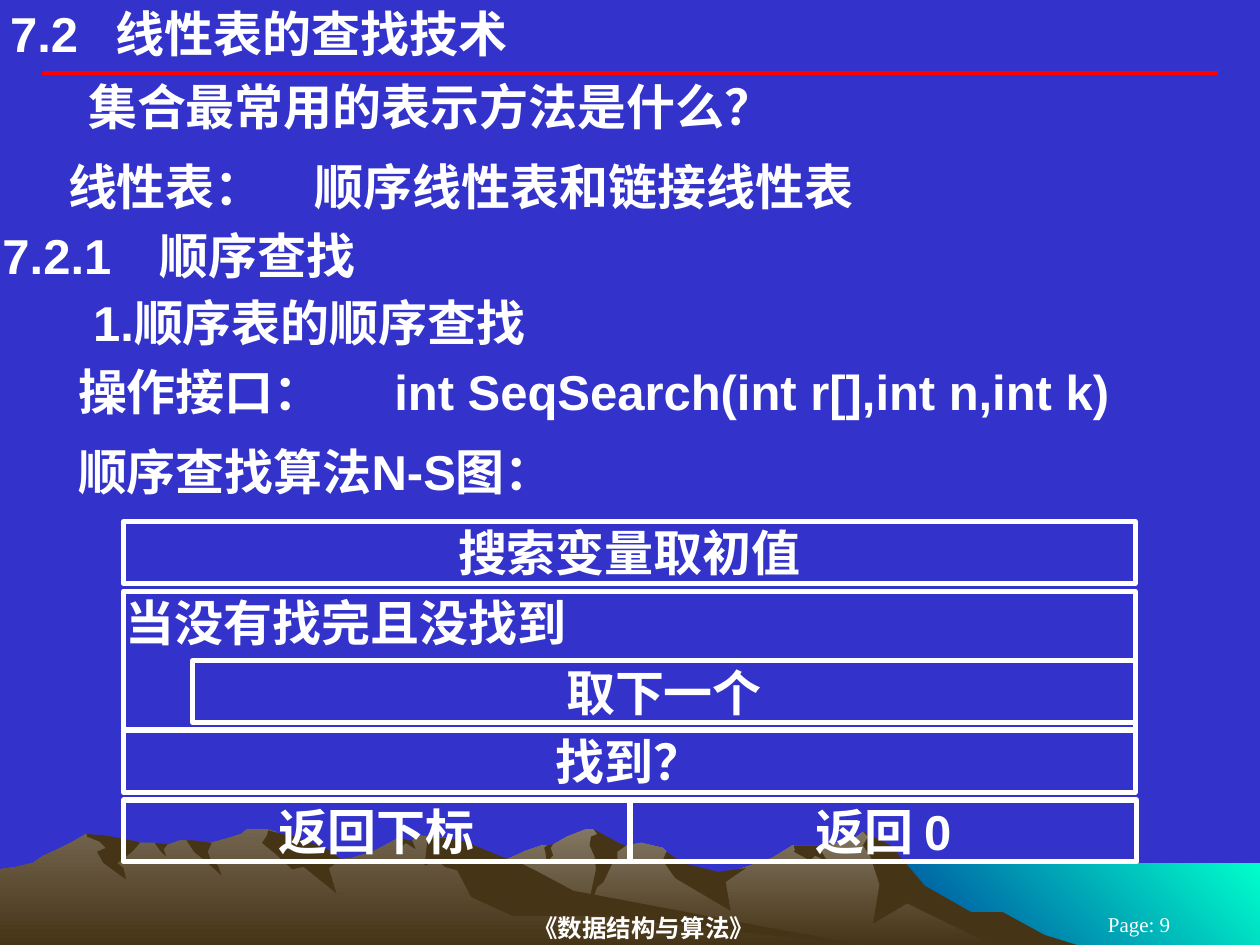
from lxml.etree import SubElement
from pptx import Presentation
from pptx.dml.color import RGBColor
from pptx.enum.shapes import MSO_CONNECTOR, MSO_SHAPE
from pptx.enum.text import MSO_ANCHOR, MSO_AUTO_SIZE, PP_ALIGN
from pptx.oxml.ns import qn
from pptx.util import Inches, Pt

WHITE = RGBColor(0xFF, 0xFF, 0xFF)
BLUE = RGBColor(0x33, 0x33, 0xCC)
RED = RGBColor(0xFF, 0x00, 0x00)
AQUA = RGBColor(0x00, 0xFF, 0xCC)
NAVY = RGBColor(0x00, 0x33, 0x99)
SAND = RGBColor(0x83, 0x77, 0x63)
STONE = RGBColor(0x72, 0x64, 0x4E)
EARTH = RGBColor(0x46, 0x34, 0x16)

CELL = Inches(0.01)
COLUMNS, ROWS = 1000, 750
ROW_HEIGHT = 49
HEADING = {"name": "Arial", "size": Pt(28), "bold": True}
FOOTER = {"name": "Times New Roman", "size": Pt(14), "bold": True}
PAGE_NUMBER = {"name": "Times New Roman", "size": Pt(12), "bold": False}

SEA = [(1000, 752), (683, 752), (683, 685), (1000, 685)]
RIGHT_RANGE = [
    (802, 740), (778, 727), (764, 723), (723, 698), (702, 671), (685, 660), (676, 667),
    (656, 671), (629, 671), (613, 681), (566, 697), (536, 690), (529, 676), (526, 673),
    (509, 669), (497, 671), (486, 673), (474, 661), (471, 658), (465, 658), (450, 664),
    (438, 671), (430, 671), (418, 675), (405, 681), (394, 685), (355, 698), (327, 709),
    (277, 739), (258, 751), (821, 751)]
LEFT_RANGE = [
    (690, 751), (667, 748), (432, 712), (354, 665), (331, 663), (327, 668), (323, 668),
    (318, 664), (296, 676), (279, 681), (271, 682), (260, 676), (236, 681), (223, 663),
    (219, 660), (212, 658), (196, 658), (191, 662), (178, 666), (160, 671), (148, 667),
    (143, 667), (132, 671), (123, 669), (111, 669), (94, 671), (68, 662), (56, 669),
    (46, 674), (35, 679), (26, 685), (14, 688), (0, 690), (0, 751)]
RIGHT_SHADOWS = [
    [(796, 724), (771, 724), (734, 703), (707, 671), (685, 660), (689, 664), (685, 671),
     (691, 680), (698, 702), (693, 733), (720, 717), (792, 752), (858, 751), (829, 742)],
    [(471, 658), (474, 662), (469, 664), (468, 671), (472, 680), (473, 690), (465, 727),
     (474, 704), (479, 700), (487, 683), (490, 682), (490, 676), (497, 671), (493, 670)],
    [(529, 676), (526, 683), (536, 697), (580, 723), (576, 700), (592, 689), (570, 692),
     (542, 685)],
    [(650, 671), (630, 671), (631, 675), (630, 676), (643, 683), (647, 679), (657, 684),
     (652, 676), (656, 671)],
    [(433, 677), (432, 673), (434, 671), (439, 670), (437, 673), (439, 679), (434, 684)]]
LEFT_SHADOWS = [
    [(212, 663), (208, 669), (219, 678), (232, 690), (241, 688), (267, 709), (261, 689),
     (271, 682), (260, 674), (245, 668), (232, 663), (224, 662), (213, 659)],
    [(370, 668), (354, 665), (344, 665), (339, 669), (337, 687), (348, 683), (353, 688),
     (363, 691), (374, 712), (407, 727), (472, 727), (690, 751), (683, 750), (455, 707),
     (427, 692), (411, 684), (401, 681), (386, 675)],
    [(318, 667), (320, 666), (318, 664), (323, 667), (327, 667), (330, 674), (322, 669),
     (319, 672)],
    [(154, 667), (168, 669), (165, 676), (167, 682), (173, 687), (176, 695), (165, 685),
     (154, 676), (148, 667)],
    [(133, 670), (130, 674), (132, 680), (127, 675), (123, 669)],
    [(109, 668), (111, 669), (105, 676), (93, 685), (98, 689), (100, 698), (82, 685),
     (77, 676), (84, 673), (79, 668), (69, 664), (69, 662), (83, 663), (94, 665)]]

LINES = [
    (0, 178, 1000, 0, 125, "7.2.1\t顺序查找"),
    (0, 60, 1000, 68, 0, "集合最常用的表示方法是什么？"),
    (248, 123, 677, 0, 0, "顺序线性表和链接线性表"),
    (0, 123, 224, 52, 0, "线性表："),
    (0, 231, 1000, 72, 0, "1.顺序表的顺序查找"),
    (0, 286, 280, 60, 0, "操作接口："),
    (311, 286, 689, 0, 0, "int SeqSearch(int r[],int n,int k)"),
    (0, 349, 1000, 60, 0, "顺序查找算法N-S图：")]

CHART_TOP, CHART_STEP = 414, 55.25
BLOCKS = [
    (98, 803, 0, ROW_HEIGHT, PP_ALIGN.CENTER, "搜索变量取初值"),
    (98, 803, 1, 110, PP_ALIGN.LEFT, "当没有找完且没找到"),
    (153, 748, 2, ROW_HEIGHT, PP_ALIGN.CENTER, "取下一个"),
    (98, 803, 3, ROW_HEIGHT, PP_ALIGN.CENTER, "找到？"),
    (98, 402, 4, ROW_HEIGHT, PP_ALIGN.CENTER, "返回下标"),
    (500, 402, 4, ROW_HEIGHT, PP_ALIGN.CENTER, "返回 0")]


class SlideBuilder:
    """Draws styled elements on one slide, measured in grid cells."""

    def __init__(self, page):
        self.page = page
        self.shapes = page.shapes
        page.background.fill.solid()
        page.background.fill.fore_color.rgb = BLUE

    def cells(self, *counts):
        return [round(count * CELL) for count in counts]

    def put_text(self, box, text, style=HEADING, align=PP_ALIGN.LEFT, anchor=MSO_ANCHOR.TOP,
                 insets=(2, 1), indent=0, tab=0):
        frame = box.text_frame
        across, down = self.cells(*insets)
        layout = {"word_wrap": True, "auto_size": MSO_AUTO_SIZE.NONE,
                  "vertical_anchor": anchor, "margin_left": across, "margin_right": across,
                  "margin_top": down, "margin_bottom": down}
        for name, value in layout.items():
            setattr(frame, name, value)
        para = frame.paragraphs[0]
        para.alignment = align
        properties = para._p.get_or_add_pPr()
        if indent:
            properties.set("marL", str(indent * CELL))
        if tab:
            stops = SubElement(properties, qn("a:tabLst"))
            SubElement(stops, qn("a:tab"), pos=str(tab * CELL), algn="l")
        span = para.add_run()
        span.text = text
        for name, value in style.items():
            setattr(span.font, name, value)
        span.font.color.rgb = WHITE

    def title(self, left, top, width, height, text, tab):
        box = self.shapes.title
        places = self.cells(left, top, width, height)
        for name, value in zip(("left", "top", "width", "height"), places):
            setattr(box, name, value)
        self.put_text(box, text, insets=(0, 0), tab=tab)

    def text(self, left, top, width, height, text, **options):
        box = self.shapes.add_textbox(*self.cells(left, top, width, height))
        self.put_text(box, text, **options)

    def block(self, left, top, width, height, text, align):
        box = self.shapes.add_shape(MSO_SHAPE.RECTANGLE, *self.cells(left, top, width, height))
        box.shadow.inherit = False
        box.fill.background()
        box.line.color.rgb = WHITE
        box.line.width = Pt(3)
        self.put_text(box, text, align=align)

    def outline(self, points, colors, angle=270):
        builder = self.shapes.build_freeform(*points[0], scale=CELL)
        builder.add_line_segments(points[1:], close=True)
        shape = builder.convert_to_shape()
        shape.shadow.inherit = False
        shape.line.fill.background()
        if len(colors) == 1:
            shape.fill.solid()
            shape.fill.fore_color.rgb = colors[0]
            return
        shape.fill.gradient()
        shape.fill.gradient_angle = angle
        for stop, color in zip(shape.fill.gradient_stops, colors):
            stop.color.rgb = color

    def rule(self, start, end, row):
        line = self.shapes.add_connector(
            MSO_CONNECTOR.STRAIGHT, *self.cells(start, row, end, row))
        line.line.color.rgb = RED
        line.line.width = Pt(2.25)
        SubElement(line._element.spPr, qn("a:effectLst"))


def main():
    deck = Presentation()
    deck.slide_width, deck.slide_height = COLUMNS * CELL, ROWS * CELL
    slide = SlideBuilder(deck.slides.add_slide(deck.slide_layouts[5]))

    slide.outline(SEA, [AQUA, NAVY], angle=225)
    for mountain, light, shadows in ((RIGHT_RANGE, SAND, RIGHT_SHADOWS),
                                     (LEFT_RANGE, STONE, LEFT_SHADOWS)):
        slide.outline(mountain, [light, EARTH])
        for shadow in shadows:
            slide.outline(shadow, [EARTH])
    slide.rule(33, 967, 58)
    slide.text(208, 722, 606, 28, "《数据结构与算法》", style=FOOTER,
               align=PP_ALIGN.CENTER, anchor=MSO_ANCHOR.MIDDLE, insets=(0, 1))
    slide.text(825, 725, 158, 17, "Page: 9", style=PAGE_NUMBER,
               align=PP_ALIGN.CENTER, anchor=MSO_ANCHOR.MIDDLE, insets=(10, 5))

    slide.title(8, 3, 650, 47, "7.2\t线性表的查找技术", tab=84)
    for left, top, width, indent, tab, text in LINES:
        slide.text(left, top, width, ROW_HEIGHT, text, indent=indent, tab=tab)
    for left, width, step, height, align, text in BLOCKS:
        slide.block(left, CHART_TOP + step * CHART_STEP, width, height, text, align)
    deck.save("out.pptx")


if __name__ == "__main__":
    main()
